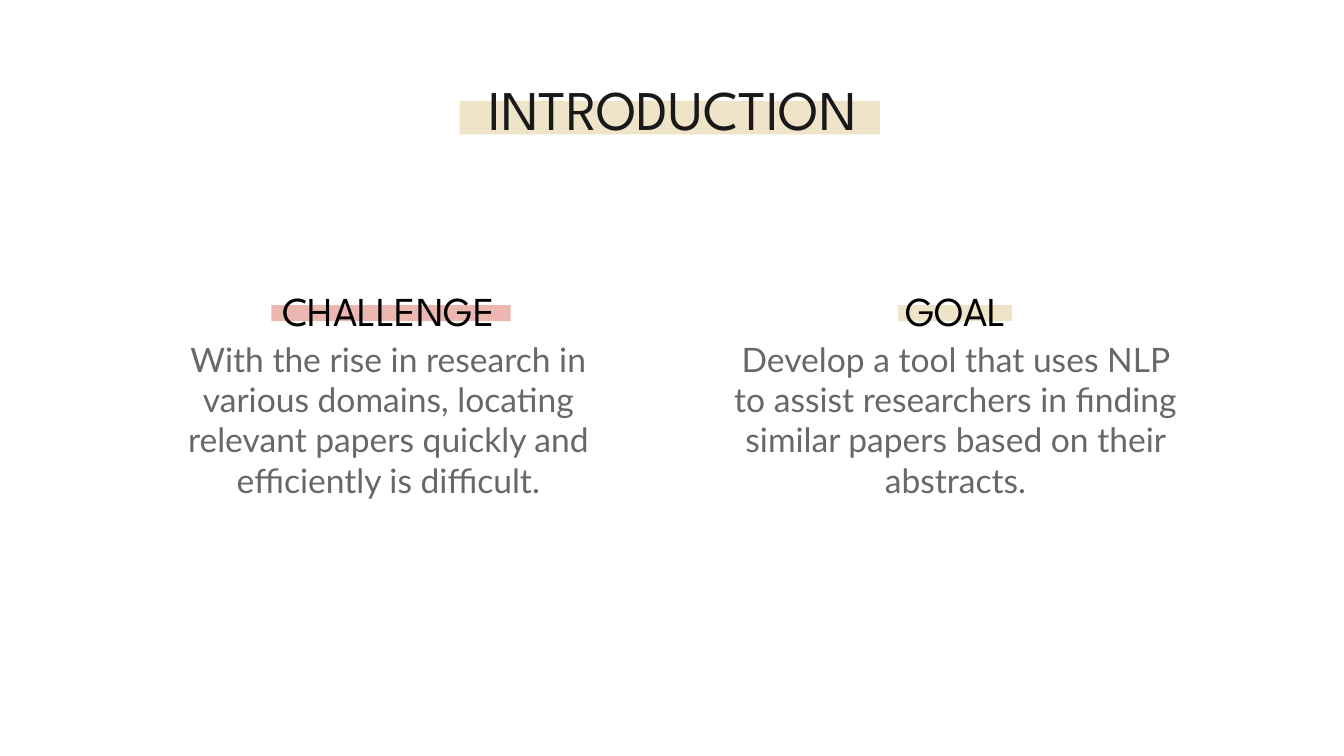
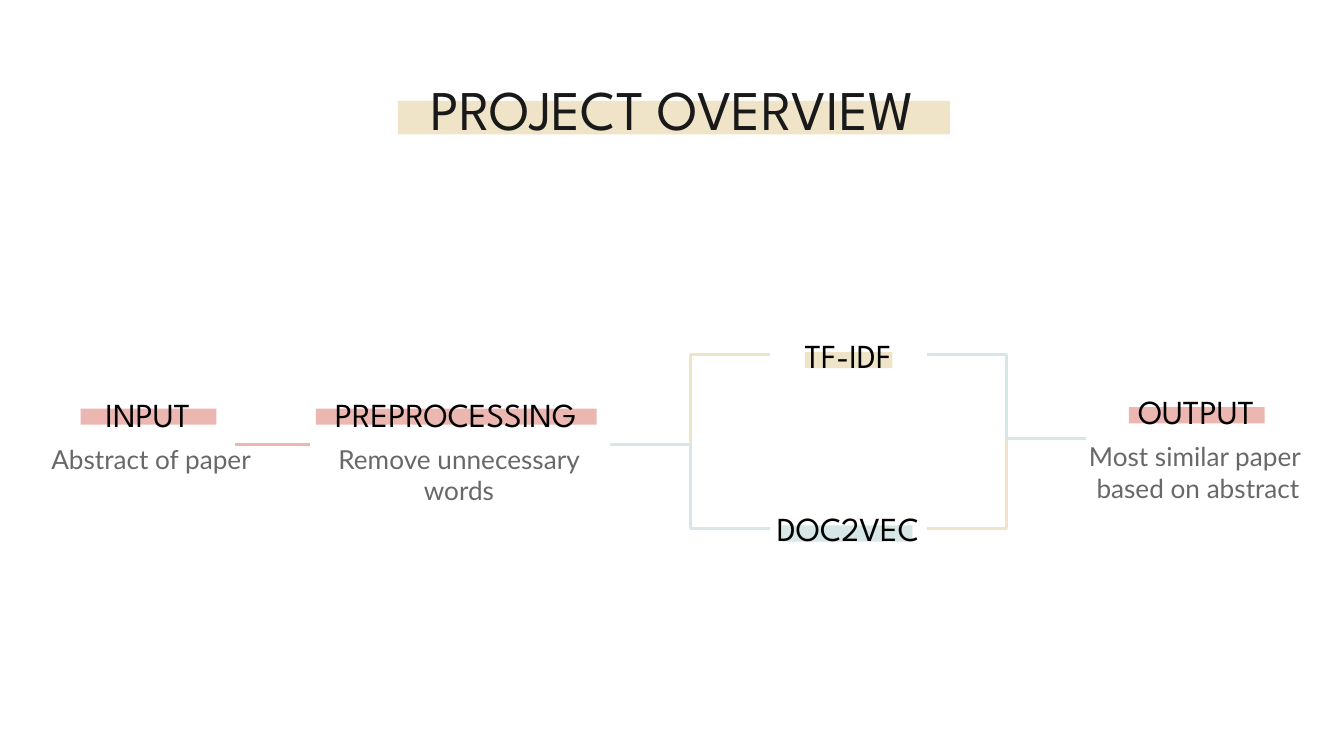
from lxml import etree
from pptx import Presentation
from pptx.dml.color import RGBColor
from pptx.enum.shapes import MSO_CONNECTOR, MSO_SHAPE
from pptx.enum.text import MSO_ANCHOR, MSO_AUTO_SIZE, PP_ALIGN
from pptx.oxml.ns import qn
from pptx.util import Inches, Pt

COLORS = {
    "title": "191919", "heading": "000000", "body": "686868",
    "pink": "EBB7B0", "cream": "EFE4C8", "mint": "D7E7E7",
}
HEADING_FONT, BODY_FONT = "League Spartan", "Lato"


def write(shape, text, size, color, font=HEADING_FONT, anchor=MSO_ANCHOR.TOP):
    frame = shape.text_frame
    frame.word_wrap = True
    frame.auto_size = MSO_AUTO_SIZE.NONE
    frame.vertical_anchor = anchor
    frame.margin_left = frame.margin_right = Inches(0.1)
    frame.margin_top = frame.margin_bottom = Inches(0.1)
    frame.text = text
    for paragraph in frame.paragraphs:
        paragraph.alignment = PP_ALIGN.CENTER
        for run in paragraph.runs:
            run.font.size = Pt(size)
            run.font.name = font
            run.font.color.rgb = RGBColor.from_string(COLORS[color])


def add_highlight(slide, left, top, width, height, color):
    band = slide.shapes.add_shape(MSO_SHAPE.RECTANGLE, Inches(left), Inches(top),
                                  Inches(width), Inches(height))
    band.fill.solid()
    band.fill.fore_color.rgb = RGBColor.from_string(COLORS[color])
    band.line.fill.background()
    band.shadow.inherit = False
    return band


# Widescreen 16:9
prs = Presentation()
prs.slide_width = Inches(10)
prs.slide_height = Inches(10) * 9 // 16

# Slides with their highlighted titles
slides = []
for heading, band_left, band_width in [("INTRODUCTION", 3.42, 3.13),
                                       ("PROJECT OVERVIEW", 2.96, 4.11)]:
    slide = prs.slides.add_slide(prs.slide_layouts[5])
    title = slide.shapes.title
    title.left, title.top = Inches(0.79), Inches(0.49)
    title.width, title.height = Inches(8.43), Inches(0.63)
    write(title, heading, 30, "title", anchor=MSO_ANCHOR.MIDDLE)
    band = add_highlight(slide, band_left, 0.75, band_width, 0.25, "cream")
    title.element.addprevious(band.element)  # the band lies behind the title
    slides.append(slide)
introduction, overview = slides

# Introduction: two columns
columns = [
    ("CHALLENGE", 1.1, 2.02, 1.78, "pink",
     "With the rise in research in various domains, locating relevant papers "
     "quickly and efficiently is difficult."),
    ("GOAL", 5.32, 6.68, 0.85, "cream",
     "Develop a tool that uses NLP to assist researchers in finding similar "
     "papers based on their abstracts."),
]
for heading, left, band_left, band_width, color, body in columns:
    add_highlight(introduction, band_left, 2.27, band_width, 0.12, color)
    for text, top, height, size, ink, font in [
            (heading, 2.12, 0.38, 22, "heading", HEADING_FONT),
            (body, 2.73, 0.78, 18, "body", BODY_FONT)]:
        box = introduction.shapes.add_textbox(Inches(left), Inches(top),
                                              Inches(3.58), Inches(height))
        write(box, text, size, ink, font, MSO_ANCHOR.MIDDLE)

# Overview: links between the steps
SPLIT, MERGE = (4.54, 3.31), (8.08, 3.26)
TFIDF_Y, DOC2VEC_Y = 2.64, 3.93
links = [
    (MSO_CONNECTOR.STRAIGHT, (2.31, 3.31), (1.75, 3.31), "pink"),
    (MSO_CONNECTOR.ELBOW, SPLIT, (5.73, TFIDF_Y), "cream"),
    (MSO_CONNECTOR.ELBOW, SPLIT, (5.73, DOC2VEC_Y), "mint"),
    (MSO_CONNECTOR.ELBOW, MERGE, (6.9, DOC2VEC_Y), "cream"),
    (MSO_CONNECTOR.ELBOW, MERGE, (6.9, TFIDF_Y), "mint"),
]
for kind, start, end, color in links:
    link = overview.shapes.add_connector(kind, *map(Inches, start + end))
    link.line.color.rgb = RGBColor.from_string(COLORS[color])
    link.line.width = Pt(1.5)
    etree.SubElement(link.element.spPr, qn("a:effectLst"))

# Overview: step headings on their highlights
steps = [
    ("INPUT", -0.05, 2.83, 2.3, 0.6, 3.04, 1.01, "pink"),
    ("PREPROCESSING", 2.24, 2.83, 2.3, 2.35, 3.04, 2.09, "pink"),
    ("TF-IDF", 5.43, 2.39, 1.76, 5.99, 2.62, 0.65, "cream"),
    ("DOC2VEC", 5.43, 3.68, 1.76, 5.82, 3.91, 0.97, "mint"),
    ("OUTPUT", 7.75, 2.81, 2.3, 8.4, 3.03, 1.01, "pink"),
]
for heading, left, top, width, band_left, band_top, band_width, color in steps:
    add_highlight(overview, band_left, band_top, band_width, 0.12, color)
    box = overview.shapes.add_textbox(Inches(left), Inches(top),
                                      Inches(width), Inches(0.35))
    write(box, heading, 18, "heading")

# Overview: step descriptions
for description, left, top in [
        ("Abstract of paper", -0.01, 3.2),
        ("Remove unnecessary words", 2.28, 3.2),
        ("Most similar paper \nbased on abstract", 7.78, 3.18)]:
    box = overview.shapes.add_textbox(Inches(left), Inches(top),
                                      Inches(2.27), Inches(0.63))
    write(box, description, 14, "body", BODY_FONT)

prs.save("out.pptx")
